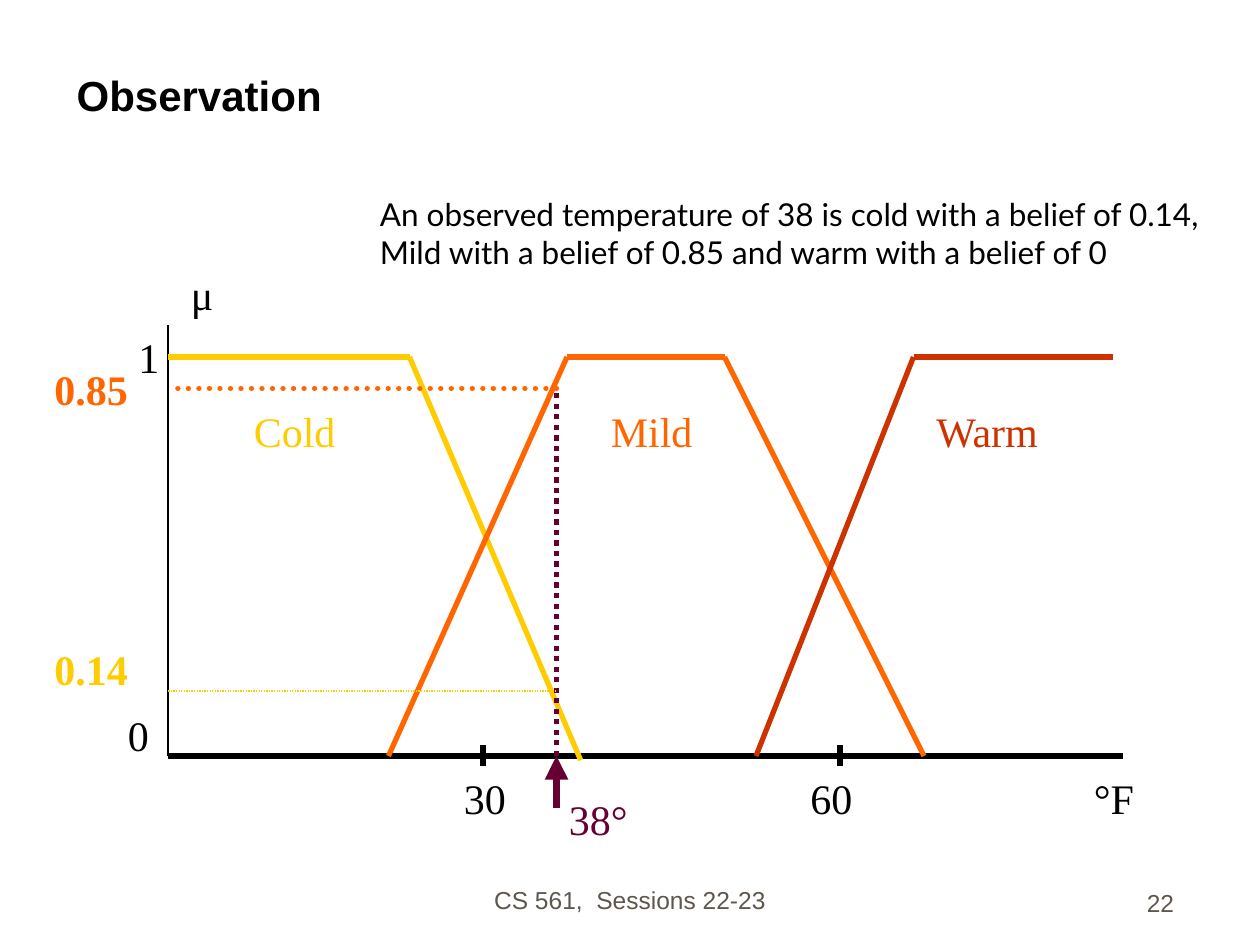
"""Build the slide on fuzzy temperature sets and one observed value."""
import pptx
import pptx.util
import pptx.dml.color
import pptx.enum.dml
import pptx.enum.shapes
import pptx.enum.text
import pptx.oxml.ns
import lxml.etree

PX = 7620
BLACK, GRAY, PLUM = "000000", "5E574E", "660033"
GOLD, ORANGE, RED = "FFCC00", "FF6600", "CC3300"
SERIF = "Times New Roman"
LEFT, BASE, TOP, SEEN = 160, 720, 340, 530
Align = pptx.enum.text.PP_ALIGN
Anchor = pptx.enum.text.MSO_ANCHOR
DOT = pptx.enum.dml.MSO_LINE.ROUND_DOT
qn = pptx.oxml.ns.qn


def write(box, text, size, name, color, bold=False, align=Align.LEFT):
    box.text_frame.text = text
    for para in box.text_frame.paragraphs:
        para.alignment = align
        font = para.font
        font.size, font.name, font.bold = pptx.util.Pt(size), name, bold
        font.color.rgb = pptx.dml.color.RGBColor.from_string(color)


def draw(start, end, color, width=3, dash=None):
    ends = [PX * n for n in (*start, *end)]
    line = slide.shapes.add_connector(
        pptx.enum.shapes.MSO_CONNECTOR.STRAIGHT, *ends)
    line.line.color.rgb = pptx.dml.color.RGBColor.from_string(color)
    line.line.width = pptx.util.Pt(width)
    if dash:
        line.line.dash_style = dash
    props = line._element.spPr
    lxml.etree.SubElement(props, qn("a:effectLst"))
    return props.find(qn("a:ln"))


deck = pptx.Presentation()
deck.slide_width, deck.slide_height = 1200 * PX, 900 * PX
slide = deck.slides.add_slide(deck.slide_layouts[5])

title = slide.shapes.title
title.left, title.top, title.width, title.height = [
    PX * n for n in (61, 30, 1070, 90)]
write(title, "Observation", 24, "Arial", BLACK, True)
title.text_frame.vertical_anchor = Anchor.BOTTOM
title.text_frame.auto_size = pptx.enum.text.MSO_AUTO_SIZE.NONE

feet = [
    ("CS 561,  Sessions 22-23", 410, 817, 380, Align.CENTER),
    ("22", 880, 820, 250, Align.RIGHT),
]
for text, x, y, wide, align in feet:
    box = slide.shapes.add_textbox(x * PX, y * PX, wide * PX, 60 * PX)
    write(box, text, 14, "Arial", GRAY, align=align)
    box.text_frame.word_wrap = True
    box.text_frame.vertical_anchor = Anchor.BOTTOM

draw((LEFT, BASE), (1070, BASE), BLACK)
draw((LEFT, BASE), (LEFT, 310), BLACK, 0.75)

curves = [
    (GOLD, [(LEFT, TOP), (390, TOP), (553, 724)]),
    (ORANGE, [(370, BASE), (540, TOP), (690, TOP), (880, BASE)]),
    (RED, [(BASE, BASE), (870, TOP), (1060, TOP)]),
]
for color, points in curves:
    for start, end in zip(points, points[1:]):
        draw(start, end, color)

arrow = draw((SEEN, 770), (SEEN, BASE), PLUM, 4.5)
lxml.etree.SubElement(arrow, qn("a:tailEnd"), type="triangle")
draw((SEEN, BASE), (SEEN, 370), PLUM, 3, DOT)
draw((SEEN, 658), (LEFT, 658), GOLD, 0.75, DOT)
draw((SEEN, 370), (LEFT, 370), ORANGE, 3, DOT).set("cap", "rnd")
for x in (460, 800):
    draw((x, BASE - 10), (x, BASE + 10), BLACK)

labels = [
    ("Warm", 880, 380, 180, RED, False),
    ("Mild", 570, 380, 110, ORANGE, False),
    ("Cold", 230, 380, 110, GOLD, False),
    ("°F", 1030, 730, 70, BLACK, False),
    ("μ", 170, 250, 60, BLACK, False),
    ("1", 120, 310, 50, BLACK, False),
    ("0", 110, 670, 50, BLACK, False),
    ("30", 430, 730, 70, BLACK, False),
    ("60", 760, 730, 70, BLACK, False),
    ("38°", SEEN, 750, 110, PLUM, False),
    ("0.14", 40, 607, 110, GOLD, True),
    ("0.85", 40, 340, 110, ORANGE, True),
]
for text, x, y, wide, color, bold in labels:
    box = slide.shapes.add_textbox(x * PX, y * PX, wide * PX, 60 * PX)
    write(box, text, 24, SERIF, color, bold)
    box.text_frame.word_wrap = True

note = slide.shapes.add_textbox(350 * PX, 180 * PX, 815 * PX, 84 * PX)
write(note, "An observed temperature of 38 is cold with a belief of 0.14,\n"
      "Mild with a belief of 0.85 and warm with a belief of 0",
      18, "Lato", BLACK)
note.text_frame.word_wrap = False

deck.save("out.pptx")
